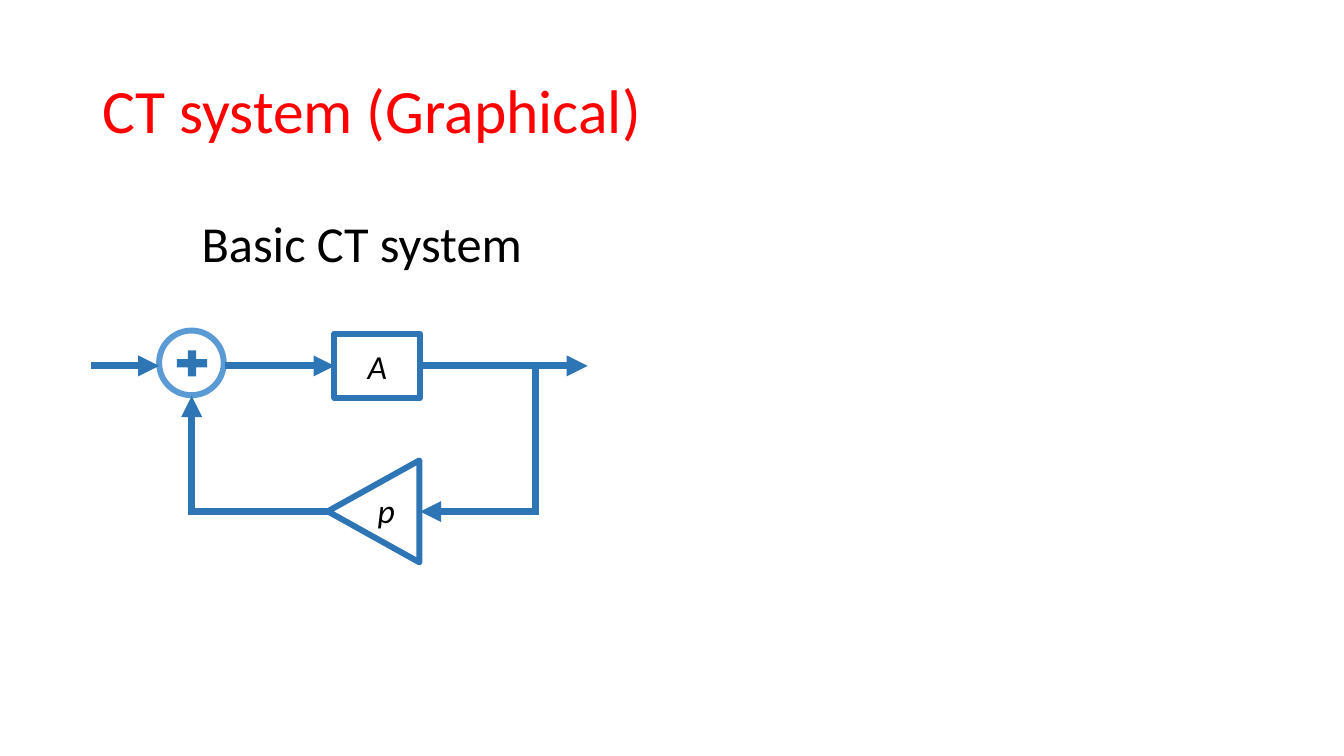
import pptx
import pptx.util
import pptx.dml.color
import pptx.enum.shapes
import pptx.enum.text
import pptx.oxml
import pptx.oxml.ns

Cm, Pt = pptx.util.Cm, pptx.util.Pt
SHAPE = pptx.enum.shapes.MSO_SHAPE
ALIGN = pptx.enum.text.PP_ALIGN
ANCHOR = pptx.enum.text.MSO_ANCHOR


def rgb(code):
    return pptx.dml.color.RGBColor.from_string(code)


def write(tf, text, size=24, color="000000", font="Calibri", italic=False,
          align=ALIGN.LEFT, anchor=ANCHOR.TOP, spacing=None):
    tf.word_wrap = True
    tf.auto_size = pptx.enum.text.MSO_AUTO_SIZE.NONE
    tf.vertical_anchor = anchor
    p = tf.paragraphs[0]
    p.alignment = align
    if spacing:
        p.line_spacing = spacing
    r = p.add_run()
    r.text = text
    r.font.name, r.font.size, r.font.italic = font, Pt(size), italic
    r.font.color.rgb = rgb(color)


class Diagram:
    blue, light_blue, white = "2E75B6", "5B9BD5", "FFFFFF"
    outline, wire_width = 4.25, 5

    def __init__(self, prs):
        self.s = prs.slides.add_slide(prs.slide_layouts[5])

    def title(self, text, x, y, w, h, **fmt):
        sp = self.s.shapes.title
        sp.left, sp.top, sp.width, sp.height = Cm(x), Cm(y), Cm(w), Cm(h)
        write(sp.text_frame, text, **fmt)

    def label(self, text, x, y, w, h, **fmt):
        sp = self.s.shapes.add_textbox(Cm(x), Cm(y), Cm(w), Cm(h))
        write(sp.text_frame, text, **fmt)

    def block(self, kind, x, y, w, h, fill=None, line=None, rotation=0):
        sp = self.s.shapes.add_shape(kind, Cm(x), Cm(y), Cm(w), Cm(h))
        sp.shadow.inherit = False
        sp.rotation = rotation
        if fill:
            sp.fill.solid()
            sp.fill.fore_color.rgb = rgb(fill)
        else:
            sp.fill.background()
        if line:
            sp.line.color.rgb = rgb(line)
            sp.line.width = Pt(self.outline)
        else:
            sp.line.fill.background()
        return sp

    def wire(self, x1, y1, x2, y2, arrow=True):
        c = self.s.shapes.add_connector(
            pptx.enum.shapes.MSO_CONNECTOR.STRAIGHT, Cm(x1), Cm(y1), Cm(x2), Cm(y2))
        c.line.color.rgb = rgb(self.blue)
        c.line.width = Pt(self.wire_width)
        if arrow:
            ln = c.line._get_or_add_ln()
            ln.append(pptx.oxml.parse_xml(
                '<a:tailEnd %s type="triangle"/>' % pptx.oxml.ns.nsdecls("a")))
        c._element.spPr.append(pptx.oxml.parse_xml(
            "<a:effectLst %s/>" % pptx.oxml.ns.nsdecls("a")))
        return c


def main():
    prs = pptx.Presentation()
    prs.slide_width, prs.slide_height = Cm(33.87), Cm(19.05)
    d = Diagram(prs)

    # Headings
    d.title("CT system (Graphical)", 2.33, 1.02, 29.21, 3.68, size=44,
            color="FF0000", anchor=ANCHOR.MIDDLE, spacing=0.9)
    d.label("Basic CT system", 4.83, 5.21, 10.13, 1.8, size=36)

    # Blocks: feedback gain, forward gain, adder
    d.block(SHAPE.ISOSCELES_TRIANGLE, 8.13, 11.73, 2.57, 2.31,
            fill=d.white, line=d.blue, rotation=270)
    gain = d.block(SHAPE.RECTANGLE, 8.43, 8.41, 2.16, 1.62, fill=d.white, line=d.blue)
    write(gain.text_frame, "A", italic=True, align=ALIGN.CENTER, anchor=ANCHOR.MIDDLE)
    d.block(SHAPE.OVAL, 4.01, 8.33, 1.63, 1.63, line=d.light_blue)
    d.block(SHAPE.MATH_PLUS, 4.32, 8.71, 1.04, 0.89, fill=d.blue)

    # Forward path
    forward_y, adder_x, branch_x = 9.22, 4.83, 13.49
    d.wire(2.29, forward_y, 4.01, forward_y)
    d.wire(5.66, forward_y, 8.43, forward_y).end_connect(gain, 1)
    d.wire(10.59, forward_y, 14.81, forward_y).begin_connect(gain, 3)

    # Feedback path
    feedback_y, corner_y = 12.89, 12.98
    d.wire(branch_x, forward_y, branch_x, corner_y, arrow=False)
    d.wire(branch_x, feedback_y, 10.59, feedback_y)
    d.wire(adder_x, feedback_y, 8.26, feedback_y, arrow=False)
    d.wire(adder_x, corner_y, adder_x, 9.98)
    d.label("p", 9.27, 12.22, 1.37, 1.27, italic=True)

    prs.save("out.pptx")


if __name__ == "__main__":
    main()
